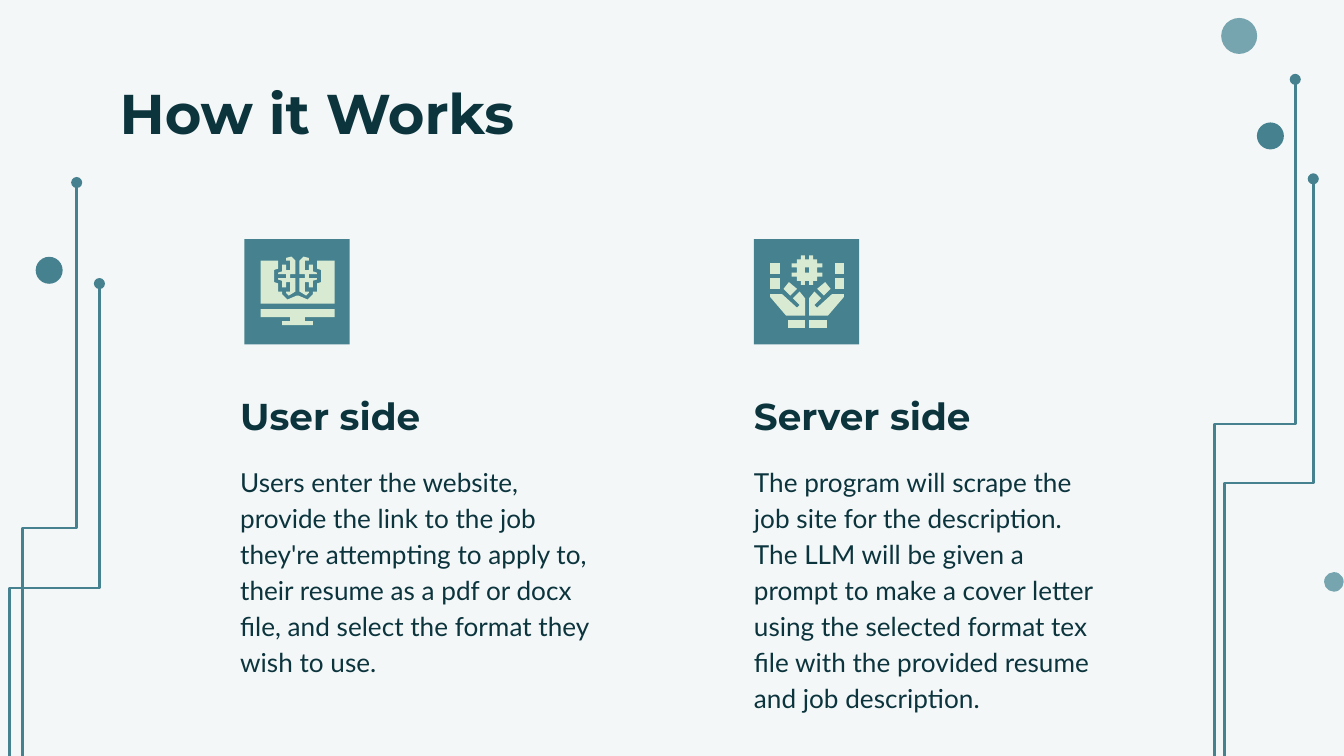
from lxml import etree
from pptx import Presentation
from pptx.dml.color import RGBColor
from pptx.enum.shapes import MSO_CONNECTOR, MSO_SHAPE
from pptx.enum.text import MSO_ANCHOR
from pptx.oxml.ns import qn
from pptx.util import Cm, Pt

ELBOW = MSO_CONNECTOR.ELBOW
OVAL, RECTANGLE = MSO_SHAPE.OVAL, MSO_SHAPE.RECTANGLE
TOP, BOTTOM = MSO_ANCHOR.TOP, MSO_ANCHOR.BOTTOM

PALE = RGBColor(0xF3, 0xF7, 0xF8)
NAVY = RGBColor(0x0C, 0x34, 0x3D)
TEAL = RGBColor(0x45, 0x81, 0x8E)
LIGHT_TEAL = RGBColor(0x76, 0xA5, 0xAF)
MINT = RGBColor(0xD9, 0xEA, 0xD3)

# Icon outlines on a grid over the tile; only the left half is given.
# "centred" halves close onto their mirror image, "paired" ones are drawn twice.
ICON_UNIT = Cm(0.0254)
MIRROR_SUM = 79
COMPUTER_ICON = {
    "centred": [
        # Stand, then screen
        [[(12, 52), (12, 58), (34, 58), (34, 61), (28, 61), (28, 64)]],
        [[(39, 42), (32, 45), (28, 41), (28, 39), (25, 39), (25, 33), (22, 32),
          (22, 23), (25, 22), (25, 16), (12, 16), (12, 48)]],
    ],
    "paired": [
        # Half of the brain
        [(35, 13), (31, 14), (31, 16), (34, 16), (34, 23), (31, 23), (31, 19),
         (28, 19), (28, 24), (25, 25), (25, 26), (31, 26), (31, 29), (25, 29),
         (25, 30), (28, 31), (28, 36), (31, 36), (31, 32), (34, 32), (34, 39),
         (31, 39), (31, 40), (33, 42), (38, 39), (38, 29), (34, 29), (34, 26),
         (38, 26), (38, 16)],
    ],
}
HANDS_ICON = {
    "centred": [
        # Gear with its hole
        [[(38, 15), (38, 12), (35, 12), (35, 15), (32, 15), (32, 18), (28, 18),
          (28, 21), (32, 21), (32, 25), (28, 25), (28, 28), (32, 28), (32, 31),
          (35, 31), (35, 34), (38, 34), (38, 31)],
         [(38, 21), (38, 25)]],
    ],
    "paired": [
        # Fingers, palm, thumb, cuff
        [(12, 18), (12, 26), (19, 26), (19, 18)],
        [(12, 29), (12, 37), (19, 37), (19, 29)],
        [(34, 39), (29, 44), (34, 49), (32, 51), (21, 41), (12, 41), (12, 43),
         (24, 57), (38, 57), (38, 44)],
        [(26, 32), (22, 37), (27, 42), (32, 37)],
        [(25, 60), (25, 66), (38, 66), (38, 60)],
    ],
}

TITLE = "How it Works"
# Text left, tile left (cm), heading, body, icon
COLUMNS = [
    (4.29, 4.62, "User side",
     "Users enter the website, provide the link to the job they're attempting "
     "to apply to, their resume as a pdf or docx file, and select the format "
     "they wish to use.", COMPUTER_ICON),
    (14, 14.25, "Server side",
     "The program will scrape the job site for the description. The LLM will "
     "be given a prompt to make a cover letter using the selected format tex "
     "file with the provided resume and job description.", HANDS_ICON),
]
COLUMN_WIDTH, TILE_TOP, TILE_SIZE = 7.11, 4.52, 1.99

# Circuit traces: foot x, foot y, tip x, tip y (cm)
TRACES = [
    (22.95, 14.53, 24.48, 1.5),
    (23.14, 14.88, 24.82, 3.38),
    (0.43, 16.51, 1.45, 3.45),
    (0.18, 16.87, 1.88, 5.36),
]
# Dots: centre x, centre y, diameter (cm), colour
DOTS = [
    (23.42, 0.68, 0.68, LIGHT_TEAL),
    (24.01, 2.57, 0.51, TEAL),
    (25.21, 11, 0.37, LIGHT_TEAL),
    (0.93, 5.11, 0.51, TEAL),
]


def paint(shape, colour):
    shape.shadow.inherit = False
    shape.fill.solid()
    shape.fill.fore_color.rgb = colour
    shape.line.fill.background()


def add_filled(page, kind, left, top, size, colour):
    shape = page.shapes.add_shape(kind, Cm(left), Cm(top), Cm(size), Cm(size))
    paint(shape, colour)


def add_trace(page, foot_x, foot_y, tip_x, tip_y):
    """Draw an elbow that rises from its foot, runs sideways and rises again."""
    middle_x, middle_y = (foot_x + tip_x) / 2, (foot_y + tip_y) / 2
    half_rise, half_run = (foot_y - tip_y) / 2, (tip_x - foot_x) / 2
    trace = page.shapes.add_connector(
        ELBOW, Cm(middle_x - half_rise), Cm(middle_y - half_run),
        Cm(middle_x + half_rise), Cm(middle_y + half_run))
    trace.line.color.rgb = TEAL
    trace.line.width = Pt(1.5)
    properties = trace._element.spPr
    properties.find(qn("a:xfrm")).set("rot", str(270 * 60000))
    etree.SubElement(properties.find(qn("a:ln")), qn("a:tailEnd"), type="oval")
    etree.SubElement(properties, qn("a:effectLst"))


def add_text(page, text, left, top, width, height, font, size,
             bold=False, spacing=1.0, anchor=TOP):
    box = page.shapes.add_textbox(Cm(left), Cm(top), Cm(width), Cm(height))
    frame = box.text_frame
    frame.word_wrap = True
    frame.vertical_anchor = anchor
    frame.margin_left = frame.margin_right = Cm(0.25)
    frame.margin_top = frame.margin_bottom = Cm(0.25)
    para = frame.paragraphs[0]
    para.text = text
    para.line_spacing = spacing
    para.font.name = font
    para.font.size = Pt(size)
    para.font.bold = bold
    para.font.color.rgb = NAVY


def mirrored(points):
    return [(MIRROR_SUM - x, y) for x, y in points]


def add_outline(page, contours, left, top):
    builder = page.shapes.build_freeform(*contours[0][0], scale=ICON_UNIT)
    builder.add_line_segments(contours[0][1:], close=True)
    for contour in contours[1:]:
        builder.move_to(*contour[0])
        builder.add_line_segments(contour[1:], close=True)
    paint(builder.convert_to_shape(Cm(left), Cm(top)), MINT)


def add_icon(page, icon, left, top):
    for halves in icon["centred"]:
        contours = [half + mirrored(half)[::-1] for half in halves]
        add_outline(page, contours, left, top)
    for points in icon["paired"]:
        for outline in (points, mirrored(points)):
            add_outline(page, [outline], left, top)


def main():
    deck = Presentation()
    deck.slide_width, deck.slide_height = Cm(25.4), Cm(14.29)
    page = deck.slides.add_slide(deck.slide_layouts[6])
    page.background.fill.solid()
    page.background.fill.fore_color.rgb = PALE

    # Circuit decoration
    for trace in TRACES:
        add_trace(page, *trace)
    for x, y, size, colour in DOTS:
        add_filled(page, OVAL, x - size / 2, y - size / 2, size, colour)

    # Title and columns
    add_text(page, TITLE, 2.01, 1.24, 21.41, 1.6, "Montserrat", 30, bold=True)
    for left, tile_left, heading, body, icon in COLUMNS:
        add_filled(page, RECTANGLE, tile_left, TILE_TOP, TILE_SIZE, TEAL)
        add_icon(page, icon, tile_left, TILE_TOP)
        add_text(page, heading, left, 7.39, COLUMN_WIDTH, 1.14, "Montserrat", 20,
                 bold=True, spacing=1.15, anchor=BOTTOM)
        add_text(page, body, left, 8.48, COLUMN_WIDTH, 3.35, "Lato", 14,
                 spacing=1.15)

    deck.save("out.pptx")


if __name__ == "__main__":
    main()
